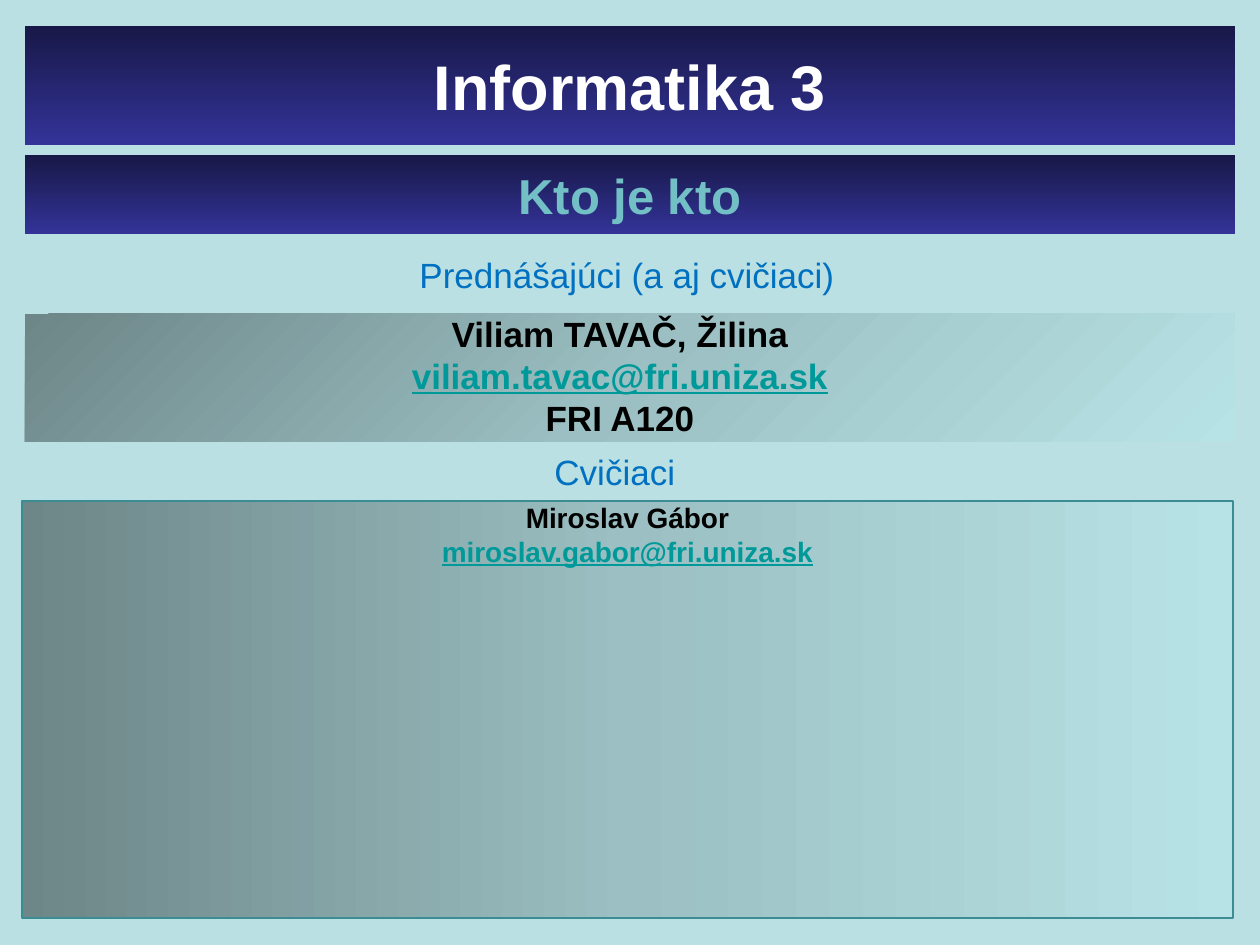
from lxml import etree
from pptx import Presentation, util as u
from pptx.dml.color import RGBColor
from pptx.enum import shapes, text
from pptx.oxml.ns import qn

PX = 914400 / 126
HUES = {
    "back": "BBE0E3", "white": "FFFFFF", "aqua": "72BFC5", "black": "000000",
    "link": "009999", "blue": "0070C0", "edge": "3C8C93",
}
NAVY = [(0, "181848"), (100, "333399")]
TEAL = [(0, "6D8688"), (50, "9BBFC2"), (100, "B8E3E6")]


def px(n):
    return u.Emu(round(n * PX))


def rgb(name):
    return RGBColor.from_string(HUES[name])


def blend(shape, stops, angle):
    """Fill a shape with a linear gradient of any number of stops."""
    shape.fill.background()
    props = shape._element.spPr
    grad = etree.Element(qn("a:gradFill"), rotWithShape="1")
    items = etree.SubElement(grad, qn("a:gsLst"))
    for pos, hue in stops:
        stop = etree.SubElement(items, qn("a:gs"), pos=str(pos * 1000))
        etree.SubElement(stop, qn("a:srgbClr"), val=hue)
    etree.SubElement(grad, qn("a:lin"), ang=str(angle * 60000), scaled="0")
    props.replace(props.find(qn("a:noFill")), grad)


def write(para, words, size, hue, bold=False, under=False):
    run = para.add_run()
    run.text = words
    font = run.font
    font.name, font.size, font.bold = "Arial", u.Pt(size), bold
    font.color.rgb = rgb(hue)
    if under:
        font.underline = True


def panel(slide, box, stops, angle, edge=None):
    shape = slide.shapes.add_shape(shapes.MSO_SHAPE.RECTANGLE, *map(px, box))
    shape.shadow.inherit = False
    blend(shape, stops, angle)
    if edge:
        shape.line.color.rgb = rgb(edge)
        shape.line.width = u.Pt(0.75)
    else:
        shape.line.fill.background()
    shape.text_frame.word_wrap = True
    return shape


def banner(slide, box, words, size, hue):
    frame = panel(slide, box, NAVY, 90).text_frame
    frame.vertical_anchor = text.MSO_ANCHOR.MIDDLE
    para = frame.paragraphs[0]
    para.alignment = text.PP_ALIGN.CENTER
    write(para, words, size, hue, True)


def people(slide, box, lines, size, gap, angle, edge=None):
    """Each line holds its words, colour and right indent."""
    frame = panel(slide, box, TEAL, angle, edge).text_frame
    frame.vertical_anchor = text.MSO_ANCHOR.TOP
    for i, (words, hue, indent) in enumerate(lines):
        para = frame.add_paragraph() if i else frame.paragraphs[0]
        para.alignment = text.PP_ALIGN.CENTER
        para.line_spacing = 0.8
        para.space_before = u.Pt(gap)
        if indent:
            para._p.get_or_add_pPr().set("marR", str(px(indent)))
        write(para, words, size, hue, True, hue == "link")


def label(slide, box, words):
    frame = slide.shapes.add_textbox(*map(px, box)).text_frame
    frame.word_wrap = True
    para = frame.paragraphs[0]
    para.line_spacing = 0.8
    write(para, words, 20, "blue")


def build(slide):
    slide.background.fill.solid()
    slide.background.fill.fore_color.rgb = rgb("back")
    # Headings
    banner(slide, (25, 26, 1210, 119), "Informatika 3", 36, "white")
    banner(slide, (25, 155, 1210, 79), "Kto je kto", 28, "aqua")
    # Lecturer
    label(slide, (407, 255, 446, 47), "Prednášajúci (a aj cvičiaci)")
    people(slide, (25, 314, 1210, 128), [
        ("Viliam TAVAČ, Žilina", "black", 20),
        ("viliam.tavac@fri.uniza.sk", "link", 20),
        ("FRI A120", "black", 0),
    ], 20, 5, 45)
    # Tutor
    label(slide, (542, 452, 148, 47), "Cvičiaci")
    people(slide, (22, 501, 1211, 417), [
        ("Miroslav Gábor", "black", 0),
        ("miroslav.gabor@fri.uniza.sk", "link", 0),
    ], 16, 3.7, 0, "edge")


deck = Presentation()
deck.slide_width, deck.slide_height = px(1260), px(945)
build(deck.slides.add_slide(deck.slide_layouts[6]))
deck.save("out.pptx")
